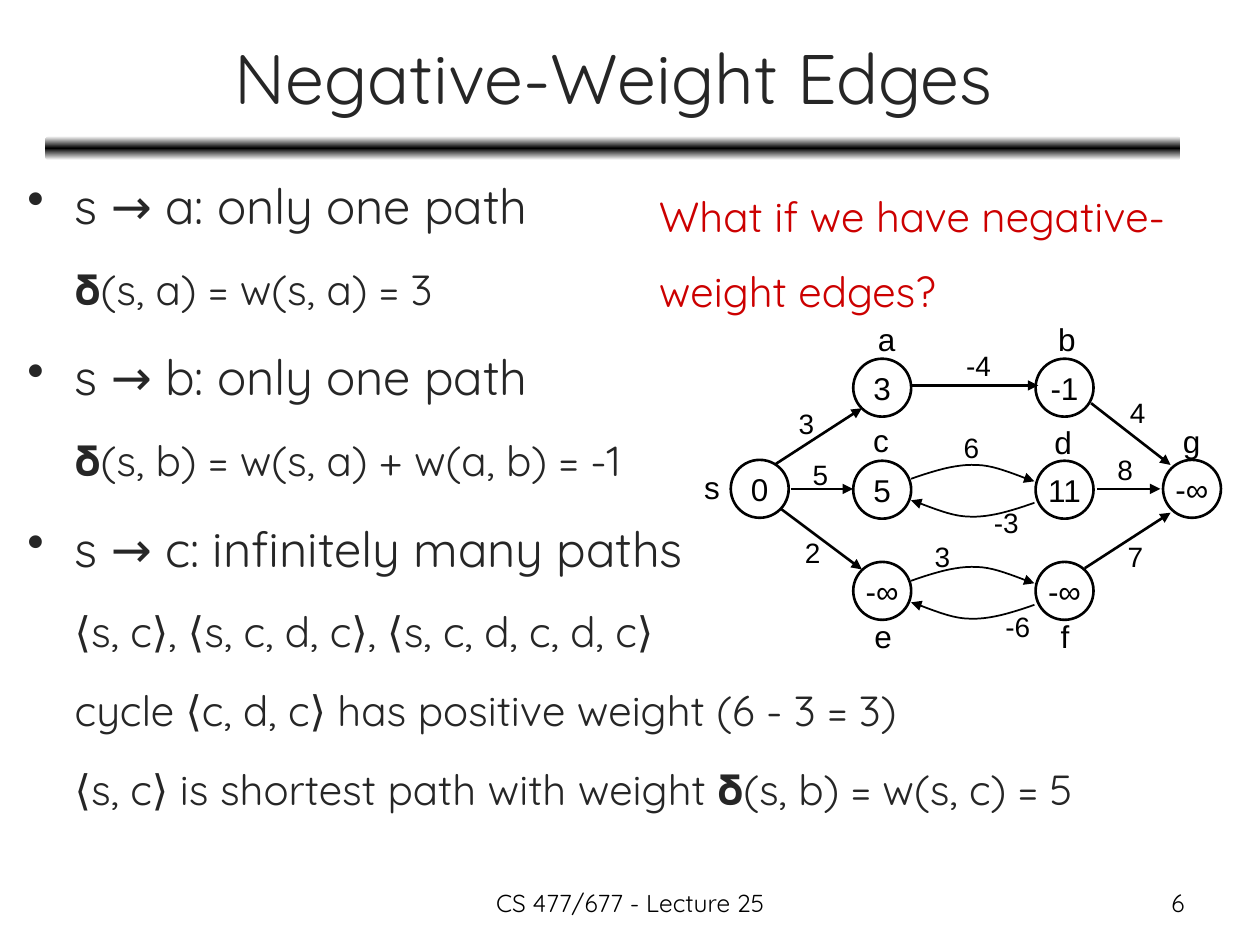
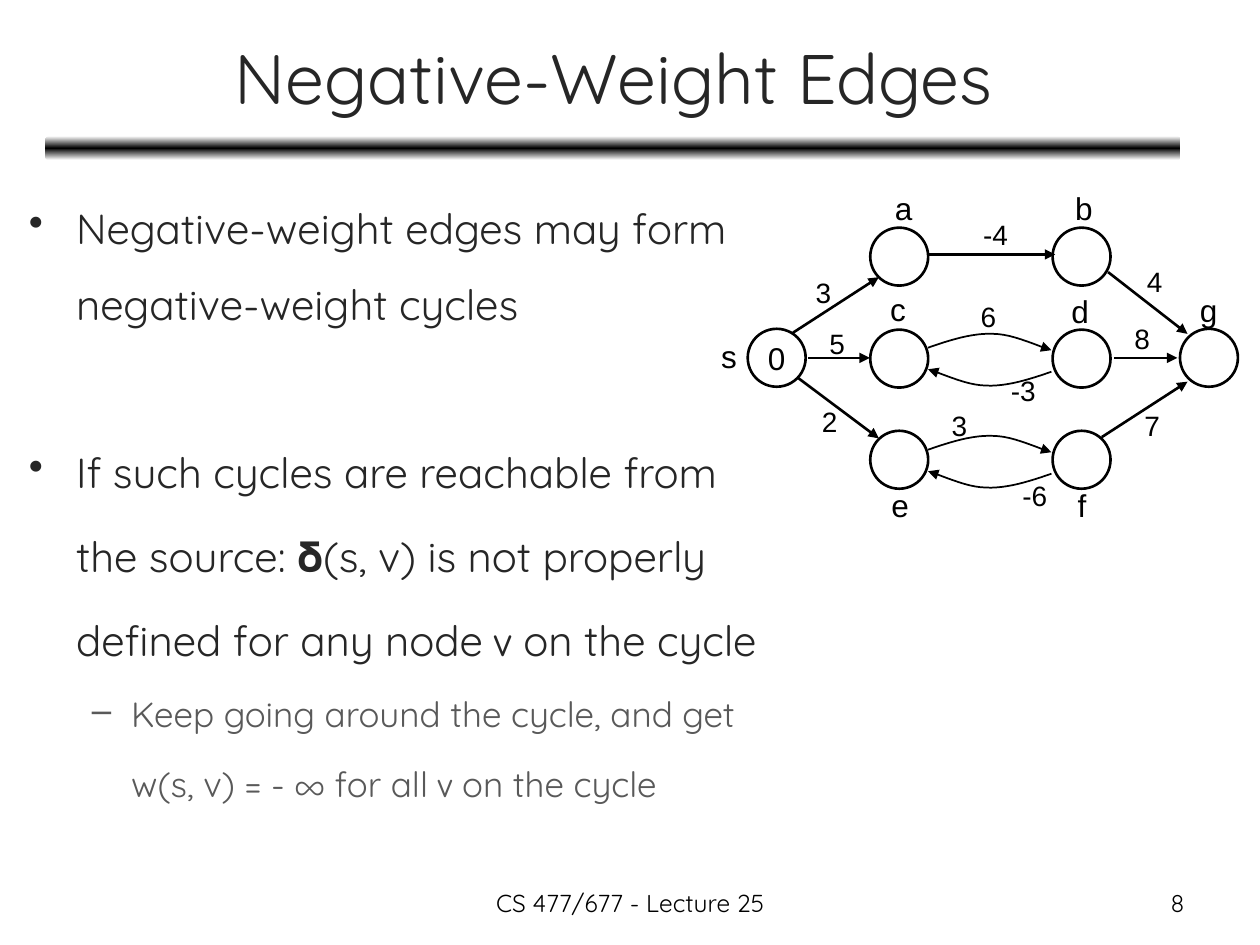
from copy import deepcopy

from lxml import etree
from pptx import Presentation
from pptx import util as u
from pptx.dml.color import RGBColor
from pptx.enum import shapes, text
from pptx.oxml import ns

Pt = u.Pt
COLORS = {"ink": "000000", "body": "262626", "sub": "595959",
          "question": "CC0000", "paper": "FFFFFF"}
FONT, GRAPH_FONT, ITALIC_V_FONT = "Quicksand", "Arial", "Comic Neue"
LEFT, CENTER, RIGHT = text.PP_ALIGN.LEFT, text.PP_ALIGN.CENTER, text.PP_ALIGN.RIGHT
MIDDLE = text.MSO_ANCHOR.MIDDLE

# Graph geometry, in points from the top left of node s
NODE_SIZE = 33.1
NODES = {"s": (0, 0), "a": (70, -57.8), "b": (174.2, -57.8),
         "c": (70, 0.5), "d": (174.2, 0.5), "g": (247, 0),
         "e": (70, 58.3), "f": (174.2, 58.3)}
NAMES = {"s": (-22.3, 1.4), "a": (77, -83.5), "b": (180, -83.5),
         "c": (74.2, -25.9), "d": (177.8, -24.5), "g": (251.3, -25.2),
         "e": (74.9, 86.4), "f": (181.4, 86.4)}
EDGES = [((103, -42.5), (175.7, -42.5)), ((25.9, 2.2), (74.9, -29.5)),
         ((28.8, 28.1), (74.9, 62.6)), ((205.9, -32.4), (251.3, 2.9)),
         ((202.3, 61.9), (251.3, 30.2)), ((34.6, 16.6), (69.8, 16.6)),
         ((209.5, 16.6), (245.5, 16.6))]
WEIGHTS = [("3", 31.7, -33.8), ("-4", 127.4, -67), ("2", 35.3, 39.6),
           ("8", 213.8, -7.9), ("-6", 149.8, 82.1), ("-3", 143.3, 22.3),
           ("3", 109.4, 41.8), ("5", 39.6, -5), ("6", 126, -20.2),
           ("4", 221, -40.3), ("7", 219.6, 41.8)]
# Two joined Bezier curves from c to d; the way back is its point reflection
FORTH = [(103, 10.8), (115.2, 6.5), (128.9, 2.2), (140.4, 2.9),
         (151.9, 2.9), (167.8, 10.8), (173.5, 12.2)]
BACK = [(276.5 - x, 35.3 - y) for x, y in FORTH]
CYCLE_ROWS = (0, 58.3)


def rgb(name):
    return RGBColor.from_string(COLORS[name])


def bezier(points, steps=12):
    """Points along a chain of cubic curves."""
    curve = [points[0]]
    for i in range(0, len(points) - 1, 3):
        ctrl = points[i:i + 4]
        for k in range(1, steps + 1):
            t = k / steps
            w = ((1 - t) ** 3, 3 * t * (1 - t) ** 2, 3 * t * t * (1 - t), t ** 3)
            curve.append(tuple(sum(a * q[axis] for a, q in zip(w, ctrl))
                               for axis in (0, 1)))
    return curve


class Deck:
    def __init__(self):
        self.prs = Presentation()
        self.prs.slide_width, self.prs.slide_height = Pt(720), Pt(540)
        self.s = None

    def new_slide(self, title, footer, number):
        self.s = self.prs.slides.add_slide(self.prs.slide_layouts[6])
        self.bar(25.9, 77.8, 648.7, 13.7)
        self.text(title, 26.6, 7.9, 648, 71.3, 40, "body", align=CENTER,
                  anchor=MIDDLE)
        self.text(footer, 246.2, 504, 228.2, 25.2, 14, align=CENTER)
        self.text(number, 516.2, 504, 167.8, 25.2, 14, align=RIGHT)

    def bar(self, x, y, w, h):
        """Rule that fades from black to white above and below."""
        sp = self.s.shapes.add_shape(shapes.MSO_SHAPE.ROUNDED_RECTANGLE,
                                     Pt(x), Pt(y), Pt(w), Pt(h))
        sp.shadow.inherit = False
        sp.line.fill.background()
        sp.fill.gradient()
        sp.fill.gradient_angle = 90
        stop_list = sp._element.spPr.find(".//" + ns.qn("a:gsLst"))
        stop_list.insert(1, deepcopy(stop_list[0]))
        stops = zip(sp.fill.gradient_stops, (0, 0.5, 1), ("paper", "ink", "paper"))
        for stop, position, color in stops:
            stop.position = position
            stop.color.rgb = rgb(color)

    def format(self, r, size, color, font):
        r.font.size, r.font.name = Pt(size), font
        r.font.color.rgb = rgb(color)

    def text(self, content, x, y, w, h, size, color="ink", font=FONT,
             align=LEFT, anchor=text.MSO_ANCHOR.TOP, wrap=True, spacing=None):
        sp = self.s.shapes.add_textbox(Pt(x), Pt(y), Pt(w), Pt(h))
        tf = sp.text_frame
        tf.word_wrap, tf.vertical_anchor = wrap, anchor
        tf.text = content
        p = tf.paragraphs[0]
        p.alignment = align
        if spacing:
            p.line_spacing, p.space_before = spacing, Pt(0.2 * size)
        self.format(p.runs[0], size, color, font)

    def outline(self, x, y, w, h, items, spacing):
        """Items are (bullet, size, parts, extra space); odd parts use the v font."""
        sp = self.s.shapes.add_textbox(Pt(x), Pt(y), Pt(w), Pt(h))
        tf = sp.text_frame
        tf.word_wrap = True
        for i, (bullet, size, parts, extra) in enumerate(items):
            p = tf.paragraphs[0] if i == 0 else tf.add_paragraph()
            p.line_spacing, p.space_before = spacing, Pt(0.2 * size + extra)
            sub = size == 20
            margin, hang = (58.5, 22.5) if sub else (27, 27)
            pPr = p._p.get_or_add_pPr()
            pPr.set("marL", str(Pt(margin)))
            pPr.set("indent", str(-Pt(hang) if bullet else 0))
            if bullet:
                etree.SubElement(pPr, ns.qn("a:buChar")).set("char", bullet)
            for k, part in enumerate(parts):
                r = p.add_run()
                r.text = part
                self.format(r, size, "sub" if sub else "body",
                            ITALIC_V_FONT if k % 2 else FONT)

    def node(self, x, y, label):
        sp = self.s.shapes.add_shape(shapes.MSO_SHAPE.OVAL, Pt(x), Pt(y),
                                     Pt(NODE_SIZE), Pt(NODE_SIZE))
        sp.shadow.inherit = False
        sp.fill.background()
        self.stroke(sp, 1.5)
        if label:
            tf = sp.text_frame
            tf.word_wrap, tf.vertical_anchor = False, MIDDLE
            tf.text = label
            p = tf.paragraphs[0]
            p.alignment = CENTER
            self.format(p.runs[0], 18, "ink", GRAPH_FONT)

    def stroke(self, sp, width, arrow=False):
        sp.line.color.rgb, sp.line.width = rgb("ink"), Pt(width)
        if arrow:
            ln = sp._element.spPr.find(ns.qn("a:ln"))
            etree.SubElement(ln, ns.qn("a:tailEnd")).set("type", "triangle")

    def arrow(self, start, end):
        sp = self.s.shapes.add_connector(shapes.MSO_CONNECTOR.STRAIGHT,
                                         *map(Pt, start + end))
        self.stroke(sp, 1.5, arrow=True)
        etree.SubElement(sp._element.spPr, ns.qn("a:effectLst"))

    def curved_arrow(self, points):
        start, *rest = [(Pt(x), Pt(y)) for x, y in bezier(points)]
        builder = self.s.shapes.build_freeform(*start)
        builder.add_line_segments(rest, close=False)
        sp = builder.convert_to_shape()
        sp.shadow.inherit = False
        sp.fill.background()
        self.stroke(sp, 1, arrow=True)

    def graph(self, x0, y0, distances):
        def at(point, dy=0):
            return point[0] + x0, point[1] + y0 + dy

        for name, point in NODES.items():
            self.node(*at(point), distances.get(name))
        for start, end in EDGES:
            self.arrow(at(start), at(end))
        for dy in CYCLE_ROWS:
            for curve in (FORTH, BACK):
                self.curved_arrow([at(point, dy) for point in curve])
        for weight, x, y in WEIGHTS:
            self.text(weight, *at((x, y)), 23 if len(weight) == 1 else 28.8,
                      26.6, 16, font=GRAPH_FONT, wrap=False)
        for name, point in NAMES.items():
            self.text(name, *at(point), 19.4 if name == "f" else 24.3,
                      28.8, 18, font=GRAPH_FONT, wrap=False)


def main():
    deck = Deck()
    title, footer = "Negative-Weight Edges", "CS 477/677 - Lecture 25"

    deck.new_slide(title, footer, "6")
    deck.outline(8.6, 83.5, 725.8, 430.6, [
        ("•", 28, ["s → a: only one path"], 0),
        (None, 24, ["𝛅(s, a) = w(s, a) = 3"], 0),
        ("•", 28, ["s → b: only one path"], 0),
        (None, 24, ["𝛅(s, b) = w(s, a) + w(a, b) = -1"], 0),
        ("•", 28, ["s → c: infinitely many paths"], 0),
        (None, 24, ["⟨s, c⟩, ⟨s, c, d, c⟩, ⟨s, c, d, c, d, c⟩"], 0),
        (None, 24, ["cycle ⟨c, d, c⟩ has positive weight (6 - 3 = 3)"], 0),
        (None, 24, ["⟨s, c⟩ is shortest path with weight 𝛅(s, b) = w(s, c) = 5"], 0),
    ], spacing=1.4)
    deck.graph(417.6, 262.8, {"s": "0", "a": "3", "b": "-1", "c": "5",
                              "d": "11", "e": "-∞", "f": "-∞", "g": "-∞"})
    deck.text("What if we have negative-weight edges?", 369.4, 90.7, 331.9, 94.3,
              24, "question", spacing=1.5)

    deck.new_slide(title, footer, "8")
    deck.outline(9.4, 97.9, 492.5, 399.6, [
        ("•", 24, ["Negative-weight edges may form negative-weight cycles"], 0),
        ("•", 24, ["If such cycles are reachable from"], 48),
        (None, 24, ["the source: 𝛅(s, v) is not properly"], 0),
        (None, 24, ["defined for any node ", "v", " on the cycle"], 0),
        ("–", 20, ["Keep going around the cycle, and get"], 0),
        (None, 20, ["w(s, v) = - ∞ for all ", "v", " on the cycle"], 0),
    ], spacing=1.5)
    deck.graph(427.3, 187.9, {"s": "0"})

    deck.prs.save("out.pptx")


if __name__ == "__main__":
    main()
